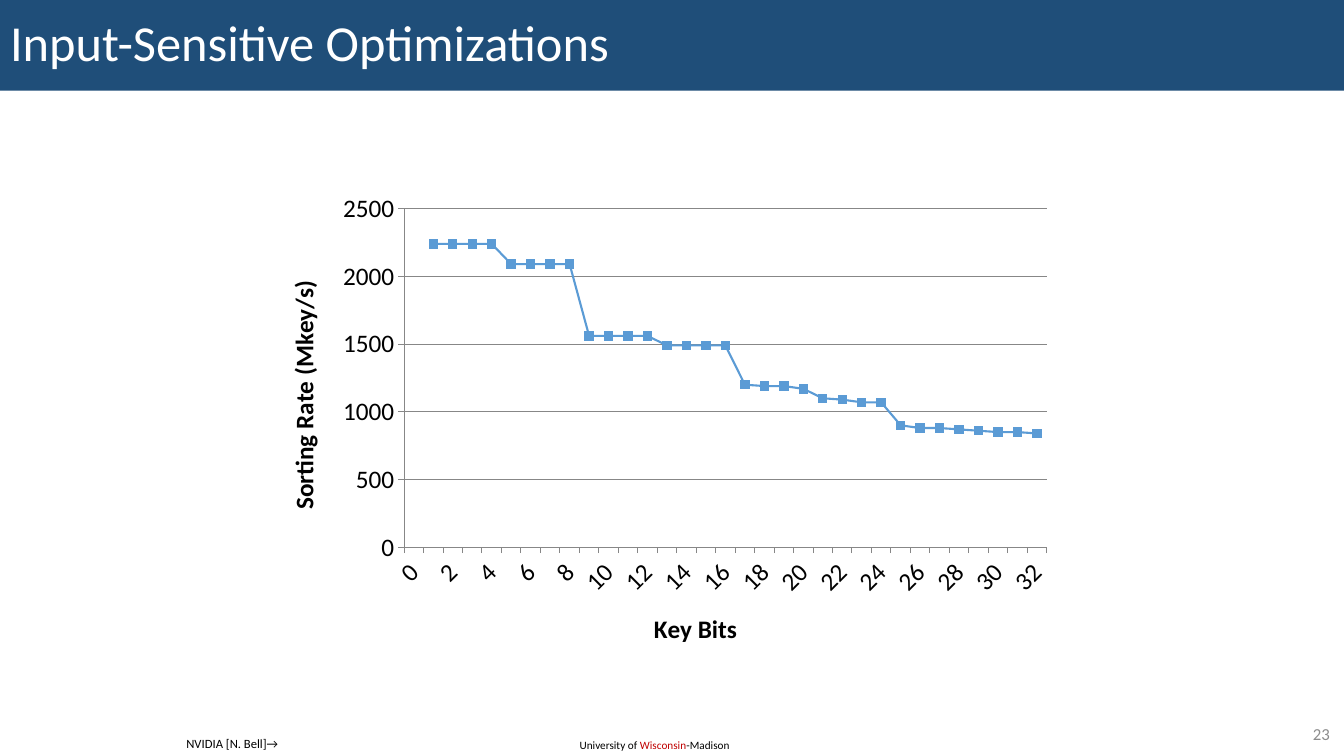
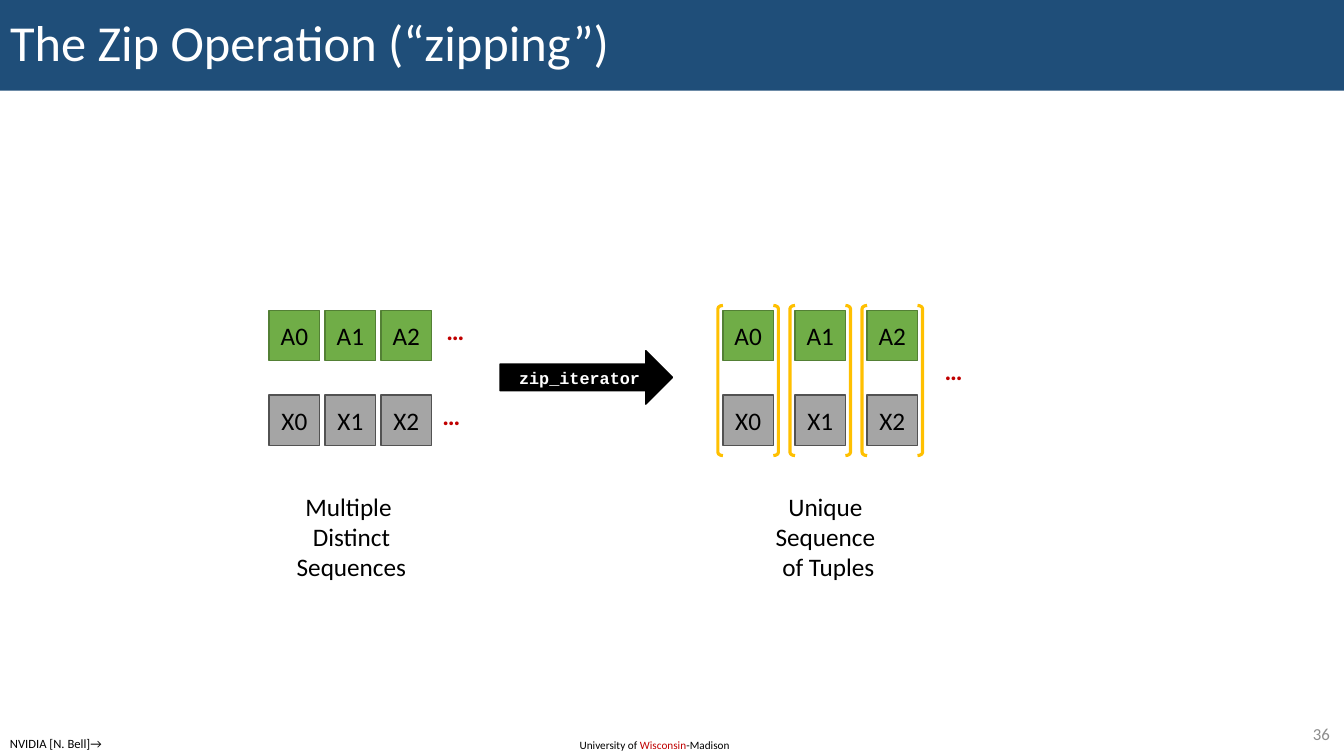
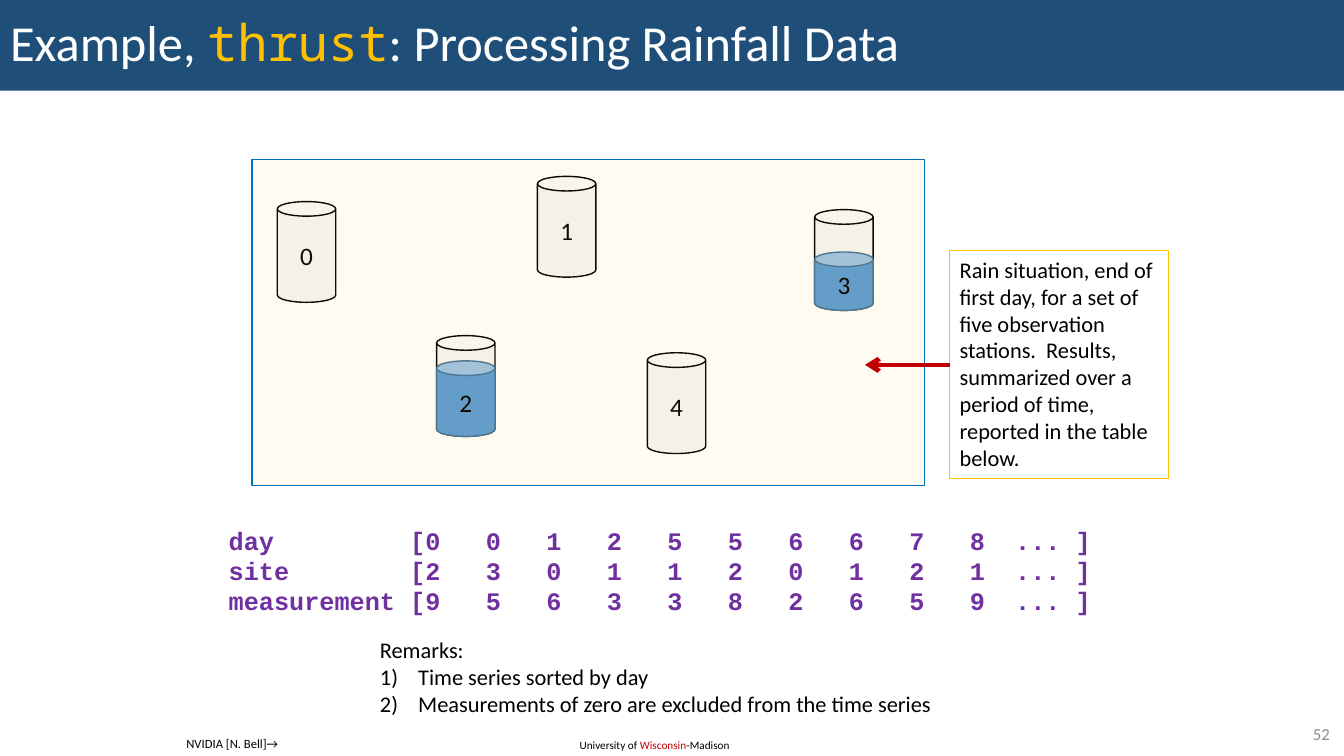
from lxml import etree
from pptx import Presentation
from pptx.chart.data import CategoryChartData
from pptx.dml.color import RGBColor
from pptx.enum.chart import XL_CHART_TYPE, XL_MARKER_STYLE, XL_TICK_MARK
from pptx.enum.shapes import MSO_CONNECTOR, MSO_SHAPE
from pptx.enum.text import MSO_ANCHOR, MSO_AUTO_SIZE, PP_ALIGN
from pptx.oxml import parse_xml
from pptx.oxml.ns import nsdecls, qn
from pptx.util import Inches, Pt

NAVY, WHITE, BLACK = "1F4E79", "FFFFFF", "000000"
RED, GOLD, PURPLE = "C00000", "FFC000", "7030A0"
BLUE, GREEN, GREY = "5B9BD5", "70AD47", "A5A5A5"
PAGE_GREY, AXIS_GREY = "8C8C8C", "878787"
BODY_FONT, CODE_FONT, TITLE_CODE_FONT = "Calibri", "Courier New", "Noto Sans Mono"
SLIDE_WIDTH = 13.33
CREDIT = "NVIDIA [N. Bell]→"


def rgb(color):
    return RGBColor.from_string(color)


def place(shape, left, top, width, height):
    shape.left, shape.top = Inches(left), Inches(top)
    shape.width, shape.height = Inches(width), Inches(height)


def style_font(font, size, color, name=BODY_FONT, bold=False):
    font.size, font.name, font.bold = Pt(size), name, bold
    font.color.rgb = rgb(color)


def add_runs(paragraph, parts, size):
    """Fill a paragraph with (text, color, font) parts."""
    for text, color, name in parts:
        run = paragraph.add_run()
        run.text = text
        style_font(run.font, size, color, name)


def set_lines(shape, lines, size, color=BLACK, name=BODY_FONT, bold=False, align=PP_ALIGN.LEFT):
    frame = shape.text_frame
    frame.text = "\n".join(lines)
    for paragraph in frame.paragraphs:
        paragraph.alignment = align
        for run in paragraph.runs:
            style_font(run.font, size, color, name, bold)


def add_label(slide, bounds, lines, size, **text_style):
    """Add a text box that fits its unwrapped lines."""
    box = slide.shapes.add_textbox(*map(Inches, bounds))
    box.text_frame.word_wrap = False
    box.text_frame.auto_size = MSO_AUTO_SIZE.SHAPE_TO_FIT_TEXT
    set_lines(box, lines, size, **text_style)
    return box


def add_figure(slide, kind, bounds, fill=None, line=BLACK, line_width=1):
    shape = slide.shapes.add_shape(kind, *map(Inches, bounds))
    shape.shadow.inherit = False
    if fill:
        shape.fill.solid()
        shape.fill.fore_color.rgb = rgb(fill)
    else:
        shape.fill.background()
    shape.line.color.rgb = rgb(line)
    shape.line.width = Pt(line_width)
    return shape


def set_centered(shape, text, size=18, **text_style):
    shape.text_frame.vertical_anchor = MSO_ANCHOR.MIDDLE
    set_lines(shape, [text], size, align=PP_ALIGN.CENTER, **text_style)


def prepare_layout(layout):
    """Give the layout its title band."""
    title = next(item for item in layout.placeholders if item.placeholder_format.idx == 0)
    place(title, 0, 0, SLIDE_WIDTH, 0.9)
    title.fill.solid()
    title.fill.fore_color.rgb = rgb(NAVY)
    title.text_frame.vertical_anchor = MSO_ANCHOR.MIDDLE


def add_layout_footer(layout, slide):
    """Build the footer on a slide and move it to the layout."""
    footer = slide.shapes.add_textbox(*map(Inches, (5.65, 7.28, 1.72, 0.24)))
    footer.text_frame.word_wrap = True
    parts = [("University of ", BLACK, BODY_FONT), ("Wisconsin", RED, BODY_FONT),
             ("-Madison", BLACK, BODY_FONT)]
    add_runs(footer.text_frame.paragraphs[0], parts, 8)
    layout.shapes.element.append(footer.element)


def add_slide(presentation, layout, title_parts, number, credit_left):
    slide = presentation.slides.add_slide(layout)
    paragraph = slide.shapes.title.text_frame.paragraphs[0]
    paragraph.alignment = PP_ALIGN.LEFT
    paragraph.line_spacing = 0.9
    add_runs(paragraph, title_parts, 36)
    page = slide.shapes.add_textbox(*map(Inches, (12.53, 7.13, 0.76, 0.29)))
    page.text_frame.word_wrap = True
    page.text_frame.vertical_anchor = MSO_ANCHOR.MIDDLE
    set_lines(page, [str(number)], 12, color=PAGE_GREY, align=PP_ALIGN.RIGHT)
    add_label(slide, (credit_left, 7.25, 1.11, 0.25), [CREDIT], 9)
    return slide


def style_axis(axis, title):
    axis.has_title = True
    axis.axis_title.text_frame.text = title
    style_font(axis.axis_title.text_frame.paragraphs[0].runs[0].font, 18, BLACK, bold=True)
    style_font(axis.tick_labels.font, 18, BLACK)
    axis.major_tick_mark = XL_TICK_MARK.OUTSIDE
    axis.minor_tick_mark = XL_TICK_MARK.NONE
    axis.format.line.color.rgb = rgb(AXIS_GREY)
    axis.format.line.width = Pt(0.75)


def set_plot_area(chart, x, y, w, h):
    """Fix the inner plot area, in fractions of the chart."""
    plot_area = chart.element.find(".//" + qn("c:plotArea"))
    for layout in plot_area.findall(qn("c:layout")):
        plot_area.remove(layout)
    sizes = "".join(f'<c:{key} val="{value}"/>' for key, value in zip("xywh", (x, y, w, h)))
    plot_area.insert(0, parse_xml(
        f'<c:layout {nsdecls("c")}><c:manualLayout><c:layoutTarget val="inner"/>'
        f'<c:xMode val="edge"/><c:yMode val="edge"/>{sizes}</c:manualLayout></c:layout>'))


def add_rate_chart(slide):
    data = CategoryChartData()
    data.categories = [str(bits) for bits in range(33)]
    data.add_series("Series 1", [None] + [2240] * 4 + [2090] * 4 + [1560] * 4 + [1490] * 4 + [
        1200, 1190, 1190, 1170, 1100, 1090, 1070, 1070,
        900, 880, 880, 870, 860, 850, 850, 840])
    frame = slide.shapes.add_chart(
        XL_CHART_TYPE.LINE_MARKERS, *map(Inches, (2.67, 1.83, 7.87, 4.8)), data)
    chart = frame.chart
    chart.has_legend = False
    chart.has_title = False
    style_font(chart.font, 18, BLACK)
    style_axis(chart.category_axis, "Key Bits")
    style_axis(chart.value_axis, "Sorting Rate (Mkey/s)")
    chart.element.find(f".//{qn('c:catAx')}/{qn('c:txPr')}/{qn('a:bodyPr')}").set("rot", "-2700000")
    value_axis = chart.value_axis
    value_axis.minimum_scale, value_axis.maximum_scale, value_axis.major_unit = 0, 2500, 500
    value_axis.has_major_gridlines = True
    value_axis.major_gridlines.format.line.color.rgb = rgb(AXIS_GREY)
    set_plot_area(chart, 0.17, 0.05, 0.81, 0.7)
    chart.plots[0].vary_by_categories = False
    series = chart.plots[0].series[0]
    series.smooth = False
    series.format.line.color.rgb = rgb(BLUE)
    series.format.line.width = Pt(1.5)
    series.marker.style = XL_MARKER_STYLE.SQUARE
    series.marker.size = 6
    series.marker.format.fill.solid()
    series.marker.format.fill.fore_color.rgb = rgb(BLUE)
    series.marker.format.line.color.rgb = rgb(BLUE)


def add_sequences(slide, left, step):
    """Add the A row above the X row, one cell every step."""
    rows = [("A", 3.08, GREEN, "538035"), ("X", 3.92, GREY, "525252")]
    for letter, top, fill, line in rows:
        for index in range(3):
            bounds = (left + index * step, top, 0.5, 0.5)
            cell = add_figure(slide, MSO_SHAPE.RECTANGLE, bounds, fill, line)
            frame = cell.text_frame
            frame.margin_left = frame.margin_right = 0
            set_centered(cell, f"{letter}{index}")


def add_tuple_brackets(slide, left, step):
    for index in range(3):
        cell_left = left + index * step
        for kind, offset in ((MSO_SHAPE.LEFT_BRACKET, -0.05), (MSO_SHAPE.RIGHT_BRACKET, 0.5)):
            bracket = add_figure(slide, kind, (cell_left + offset, 3.03, 0.05, 1.49),
                                 line=GOLD, line_width=2.25)
            bracket.adjustments[0] = 0.63


def add_zip_diagram(slide):
    add_sequences(slide, 2.67, 0.555)
    add_sequences(slide, 7.17, 0.715)
    add_tuple_brackets(slide, 7.17, 0.715)
    arrow = add_figure(slide, MSO_SHAPE.RIGHT_ARROW, (4.96, 3.48, 1.71, 0.53), BLACK)
    set_centered(arrow, "zip_iterator", 12, color=WHITE, name=CODE_FONT, bold=True)
    add_label(slide, (2.84, 4.82, 1.29, 1.01), ["Multiple ", "Distinct", "Sequences"], 18,
              align=PP_ALIGN.CENTER)
    add_label(slide, (7.59, 4.82, 1.25, 1.01), ["Unique ", "Sequence ", "of Tuples"], 18,
              align=PP_ALIGN.CENTER)
    for left, top in ((4.33, 3.08), (4.29, 3.92), (9.27, 3.48)):
        add_label(slide, (left, top, 0.37, 0.4), ["…"], 18, color=RED, bold=True,
                  align=PP_ALIGN.CENTER)


def add_gauge(slide, label, left, top, water):
    """Add a rain gauge holding the given height of water."""
    gauge = add_figure(slide, MSO_SHAPE.CAN, (left, top, 0.58, 1), "F5F5F5")
    if water:
        bounds = (left, top + 1 - water, 0.58, water)
        gauge = add_figure(slide, MSO_SHAPE.CAN, bounds, BLUE, "43739E")
    set_centered(gauge, label)


def add_region(slide):
    """Tint the observed region with a nearly clear rectangle."""
    region = add_figure(slide, MSO_SHAPE.RECTANGLE, (2.5, 1.58, 6.67, 3.24), GOLD, "0070C0")
    color = region.element.spPr.find(f"{qn('a:solidFill')}/{qn('a:srgbClr')}")
    etree.SubElement(color, qn("a:alpha")).set("val", "6000")


def add_callout(slide):
    note = add_figure(slide, MSO_SHAPE.RECTANGLE, (9.42, 2.49, 2.17, 2.26),
                      line=GOLD, line_width=0.75)
    note.text_frame.word_wrap = True
    note.text_frame.vertical_anchor = MSO_ANCHOR.TOP
    set_lines(note, ["Rain situation, end of first day, for a set of five observation stations.  "
                     "Results, summarized over a period of time, reported in the table below."], 16)
    arrow = slide.shapes.add_connector(
        MSO_CONNECTOR.STRAIGHT, *map(Inches, (9.42, 3.62, 8.58, 3.62)))
    arrow.line.color.rgb = rgb(RED)
    arrow.line.width = Pt(3.25)
    etree.SubElement(arrow.line._get_or_add_ln(), qn("a:tailEnd")).set("type", "arrow")
    etree.SubElement(arrow.element.spPr, qn("a:effectLst"))


def add_remarks(slide):
    remarks = add_label(slide, (3.67, 6.26, 5.67, 0.91), [
        "Remarks:", "Time series sorted by day",
        "Measurements of zero are excluded from the time series"], 16)
    for paragraph in remarks.text_frame.paragraphs[1:]:
        properties = paragraph._p.get_or_add_pPr()
        properties.set("marL", str(Inches(0.38)))
        properties.set("indent", str(-Inches(0.38)))
        etree.SubElement(properties, qn("a:buAutoNum")).set("type", "arabicParenR")


def add_rainfall(slide):
    gauges = [("0", 2.75, 2, 0), ("1", 5.33, 1.75, 0), ("2", 4.33, 3.33, 0.75),
              ("3", 8.08, 2.08, 0.58), ("4", 6.42, 3.5, 0)]
    for gauge in gauges:
        add_gauge(slide, *gauge)
    add_region(slide)
    add_label(slide, (2.17, 5.16, 8.8, 1.01), [
        "day         [0   0   1   2   5   5   6   6   7   8  ... ]",
        "site        [2   3   0   1   1   2   0   1   2   1  ... ]",
        "measurement [9   5   6   3   3   8   2   6   5   9  ... ]",
    ], 18, color=PURPLE, name=CODE_FONT, bold=True)
    add_remarks(slide)
    add_callout(slide)


def main():
    presentation = Presentation()
    presentation.slide_width, presentation.slide_height = Inches(SLIDE_WIDTH), Inches(7.5)
    layout = presentation.slide_layouts.get_by_name("Title Only")
    prepare_layout(layout)

    chart_slide = add_slide(
        presentation, layout, [("Input-Sensitive Optimizations", WHITE, BODY_FONT)], 23, 1.75)
    add_layout_footer(layout, chart_slide)
    add_rate_chart(chart_slide)

    zip_slide = add_slide(
        presentation, layout, [("The Zip Operation (“zipping”)", WHITE, BODY_FONT)], 36, 0)
    add_zip_diagram(zip_slide)

    rain_title = [("Example, ", WHITE, BODY_FONT), ("thrust", GOLD, TITLE_CODE_FONT),
                  (": Processing Rainfall Data", WHITE, BODY_FONT)]
    rain_slide = add_slide(presentation, layout, rain_title, 52, 1.75)
    add_rainfall(rain_slide)

    presentation.save("out.pptx")


if __name__ == "__main__":
    main()
